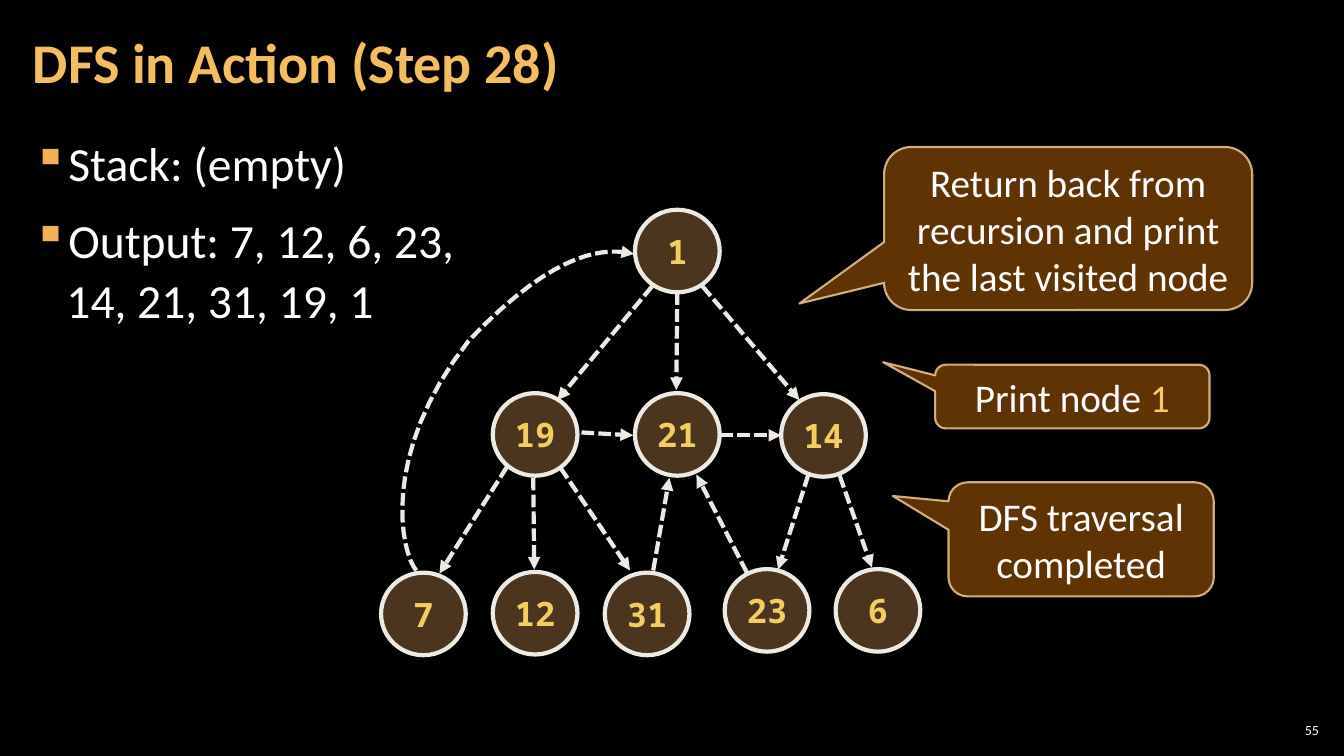
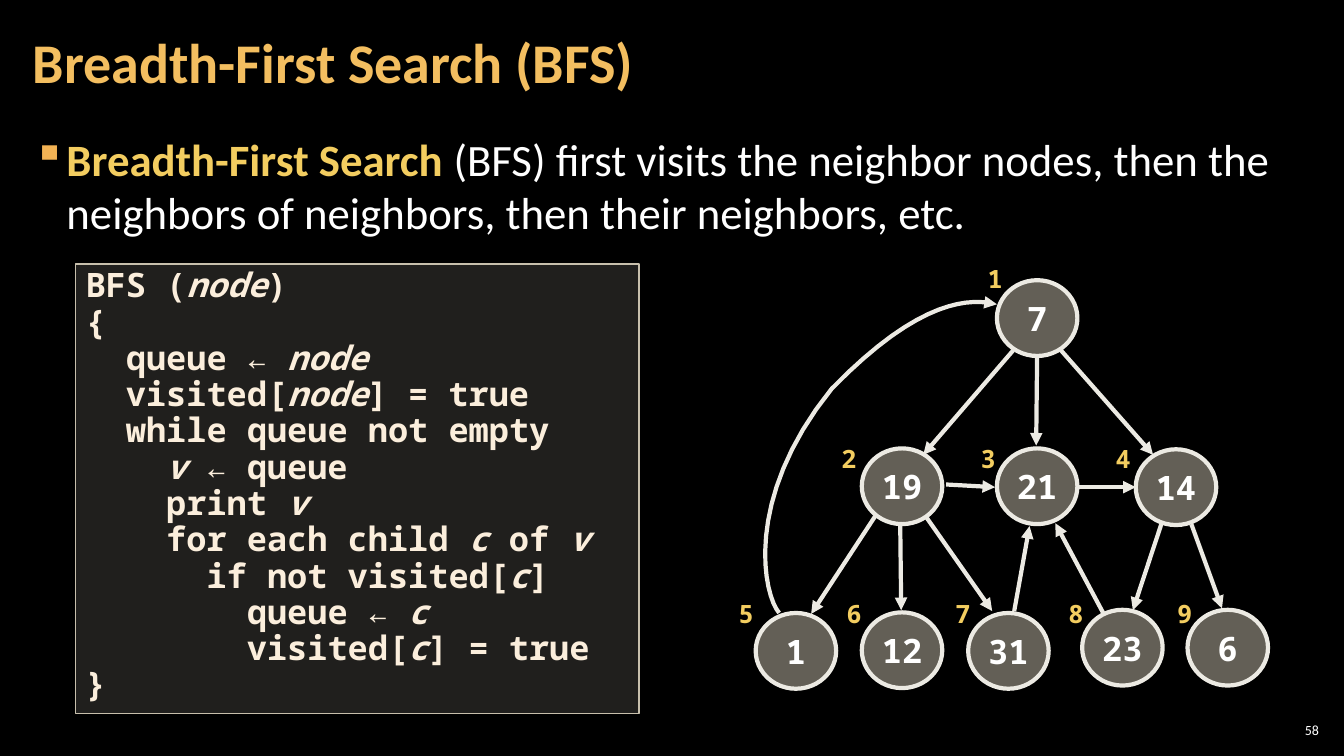
import lxml.etree
import pptx
import pptx.dml.color
import pptx.enum.dml
import pptx.enum.shapes
import pptx.enum.text
import pptx.oxml.ns
import pptx.util

Pt = pptx.util.Pt
RGBColor = pptx.dml.color.RGBColor
PP_ALIGN = pptx.enum.text.PP_ALIGN
MIDDLE = pptx.enum.text.MSO_ANCHOR.MIDDLE
SHAPE = pptx.enum.shapes.MSO_SHAPE
STRAIGHT = pptx.enum.shapes.MSO_CONNECTOR.STRAIGHT
qn = pptx.oxml.ns.qn

BLACK = RGBColor(0x00, 0x00, 0x00)
WHITE = RGBColor(0xFF, 0xFF, 0xFF)
TITLE_GOLD = RGBColor(0xF3, 0xBE, 0x60)
BULLET_GOLD = RGBColor(0xF2, 0xB2, 0x54)
ACCENT = RGBColor(0xF3, 0xCD, 0x60)
CALLOUT_BROWN = RGBColor(0x66, 0x36, 0x06)
CALLOUT_EDGE = RGBColor(0xF8, 0xD4, 0x9E)
NODE_BROWN = RGBColor(0x6C, 0x4C, 0x2C)
STONE = RGBColor(0xC7, 0xBF, 0xAC)
IVORY = RGBColor(0xEC, 0xEA, 0xE3)
CODE_FILL = RGBColor(0xD9, 0xD5, 0xC7)
CODE_TEXT = RGBColor(0xFB, 0xEE, 0xDC)
SANS = "Calibri"
MONO = "Noto Sans Mono"


def paint(shape, fill, fill_opacity, edge, width, edge_opacity=100):
    """Set fill and outline, with opacities in percent, and drop the shadow."""
    shape.shadow.inherit = False
    shape.fill.solid()
    shape.fill.fore_color.rgb = fill
    shape.line.color.rgb = edge
    shape.line.width = Pt(width)
    properties = shape._element.spPr
    for owner, opacity in ((properties, fill_opacity), (properties.ln, edge_opacity)):
        colour = owner.find(qn("a:solidFill"))[0]
        lxml.etree.SubElement(colour, qn("a:alpha"), val=str(opacity * 1000))


def write(paragraph, marked_text, font_name, size, colour, bold=False):
    """Add runs split at each bar; return those that stand between two bars."""
    marked_runs = []
    for index, part in enumerate(marked_text.split("|")):
        for line_index, line in enumerate(part.split("\n")):
            if line_index:
                paragraph.add_line_break()
            if not line:
                continue
            run = paragraph.add_run()
            run.text = line
            run.font.name = font_name
            run.font.size = Pt(size)
            run.font.color.rgb = colour
            run.font.bold = bold
            if index % 2:
                marked_runs.append(run)
    return marked_runs


presentation = pptx.Presentation()
presentation.slide_width = Pt(960)
presentation.slide_height = Pt(540)
background = presentation.slide_master.background.fill
background.solid()
background.fore_color.rgb = BLACK

# title, slide number, bullets, bullet size, line spacing
PAGES = [
    ("DFS in Action (Step 28)", "55",
     ["Stack: (empty)", "Output: 7, 12, 6, 23,\n14, 21, 31, 19, 1"], 34, 1.05),
    ("Breadth-First Search (BFS)", "58",
     ["|Breadth-First Search |(BFS) first visits the neighbor nodes, then the "
      "neighbors of neighbors, then their neighbors, etc."], 32, 1.0),
]

for title_text, number, bullets, bullet_size, spacing in PAGES:
    slide = presentation.slides.add_slide(presentation.slide_layouts[5])

    title = slide.shapes.title
    title.left, title.top, title.width, title.height = Pt(15), Pt(3), Pt(754), Pt(87)
    body = slide.shapes.add_textbox(Pt(15), Pt(91), Pt(930), Pt(438))
    for frame in (title.text_frame, body.text_frame):
        frame.word_wrap = True
        frame.auto_size = pptx.enum.text.MSO_AUTO_SIZE.NONE
        frame.margin_left = frame.margin_right = Pt(8.5)
        frame.margin_top = frame.margin_bottom = Pt(2.85)
    title.text_frame.vertical_anchor = MIDDLE
    paragraph = title.text_frame.paragraphs[0]
    paragraph.alignment = PP_ALIGN.LEFT
    paragraph.line_spacing = 0.9
    write(paragraph, title_text, SANS, 40, TITLE_GOLD, True)

    for index, bullet in enumerate(bullets):
        paragraph = body.text_frame.paragraphs[0]
        if index:
            paragraph = body.text_frame.add_paragraph()
        properties = paragraph._p.get_or_add_pPr()
        properties.set("marL", str(Pt(24)))
        properties.set("indent", str(Pt(-24)))
        bullet_colour = lxml.etree.SubElement(properties, qn("a:buClr"))
        lxml.etree.SubElement(bullet_colour, qn("a:srgbClr"), val=str(BULLET_GOLD))
        lxml.etree.SubElement(properties, qn("a:buChar"), char="▪")
        paragraph.line_spacing = spacing
        paragraph.space_before = Pt(6 if index else 0)
        paragraph.space_after = Pt(6)
        for run in write(paragraph, bullet, SANS, bullet_size, WHITE):
            run.font.bold = True
            run.font.color.rgb = ACCENT

    number_box = slide.shapes.add_textbox(Pt(911), Pt(514), Pt(34), Pt(15))
    frame = number_box.text_frame
    frame.margin_left = frame.margin_right = Pt(2.85)
    frame.margin_top = frame.margin_bottom = Pt(2.85)
    frame.vertical_anchor = MIDDLE
    frame.word_wrap = True
    frame.paragraphs[0].alignment = PP_ALIGN.RIGHT
    write(frame.paragraphs[0], number, SANS, 10, WHITE)

dfs_slide, bfs_slide = presentation.slides

# Graph geometry in points; the BFS slide scales and shifts it.
NODE_WIDTH, NODE_HEIGHT = 60.5, 59
NODE_PLACES = [
    (453.6, 149.8),
    (352, 280.8), (453.6, 280.8), (558, 281.5),
    (272.2, 409), (352, 408.5), (432, 409), (517.7, 406.5), (596.9, 406.5),
]
EDGES = [
    (465.8, 204.5, 398.2, 285.8), (483.8, 208.8, 483.1, 278.6),
    (501.8, 204.5, 571, 285.8), (415.4, 308.9, 452.2, 311),
    (514.8, 311, 558, 311), (362.2, 333.4, 313.9, 409.7),
    (380.9, 341.3, 381.6, 406.8), (400.3, 334.1, 450, 407.5),
    (577.4, 339.1, 555.8, 406.8), (599.8, 339.8, 622.8, 405.4),
    (466.6, 407.5, 478.1, 341.3), (533.5, 409, 497.5, 339.1),
]
CURVE_PARTS = [
    ((297.4, 407.5), (286.6, 395.3), (270.7, 324.7), (334.8, 243.4)),
    ((334.8, 243.4), (398.9, 175.7), (434.9, 177.1), (452.9, 181.4)),
]
CURVE_STEPS = 16

# slide, labels, fill, opacity, label colour, dashed,
# (x scale, x shift, y scale, y shift) of the graph and of its curve
GRAPHS = [
    (dfs_slide, [1, 19, 21, 14, 7, 12, 31, 23, 6], NODE_BROWN, 70, ACCENT, True,
     (1, 0, 1, 0), (1, 0, 1, 0)),
    (bfs_slide, [7, 19, 21, 14, 1, 12, 31, 23, 6], STONE, 50, WHITE, False,
     (0.95, 281.2, 0.917, 62.8), (1, 259.2, 0.975, 40.5)),
]

for slide, labels, fill, opacity, label_colour, dashed, placing, curve_placing in GRAPHS:
    graph = slide.shapes.add_group_shape()
    x_scale, x_shift, y_scale, y_shift = placing
    for label, (x, y) in zip(labels, NODE_PLACES):
        node = graph.shapes.add_shape(
            SHAPE.OVAL, Pt(x * x_scale + x_shift), Pt(y * y_scale + y_shift),
            Pt(NODE_WIDTH * x_scale), Pt(NODE_HEIGHT * y_scale))
        paint(node, fill, opacity, IVORY, 3)
        node.text_frame.word_wrap = False
        node.text_frame.vertical_anchor = MIDDLE
        paragraph = node.text_frame.paragraphs[0]
        paragraph.alignment = PP_ALIGN.CENTER
        write(paragraph, str(label), MONO, 24, label_colour, True)

    arrows = []
    for start_x, start_y, end_x, end_y in EDGES:
        arrows.append(graph.shapes.add_connector(
            STRAIGHT,
            Pt(start_x * x_scale + x_shift), Pt(start_y * y_scale + y_shift),
            Pt(end_x * x_scale + x_shift), Pt(end_y * y_scale + y_shift)))

    x_scale, x_shift, y_scale, y_shift = curve_placing
    curve_points = []
    for controls in CURVE_PARTS:
        for step in range(CURVE_STEPS + 1):
            t = step / CURVE_STEPS
            weights = ((1 - t) ** 3, 3 * t * (1 - t) ** 2, 3 * t ** 2 * (1 - t), t ** 3)
            x = sum(weight * point[0] for weight, point in zip(weights, controls))
            y = sum(weight * point[1] for weight, point in zip(weights, controls))
            curve_points.append((Pt(x * x_scale + x_shift), Pt(y * y_scale + y_shift)))
    builder = graph.shapes.build_freeform(*curve_points[0])
    builder.add_line_segments(curve_points[1:], close=False)
    curve = builder.convert_to_shape()
    curve.fill.background()
    arrows.append(curve)

    for arrow in arrows:
        arrow.line.color.rgb = IVORY
        arrow.line.width = Pt(3)
        if dashed:
            arrow.line.dash_style = pptx.enum.dml.MSO_LINE.SQUARE_DOT
        properties = arrow._element.spPr
        lxml.etree.SubElement(properties.ln, qn("a:tailEnd"), type="triangle")
        lxml.etree.SubElement(properties, qn("a:effectLst"))

CALLOUTS = [
    ("Return back from recursion and print the last visited node",
     631.5, 105, 263, 116.5, (-0.73, 0.46)),
    ("Print node |1|", 668, 260.5, 196, 45.5, (-0.69, -0.54)),
    ("DFS traversal completed", 677.5, 344.5, 189.5, 81.5, (-0.71, -0.38)),
]
for text, left, top, width, height, tip in CALLOUTS:
    callout = dfs_slide.shapes.add_shape(
        SHAPE.ROUNDED_RECTANGULAR_CALLOUT, Pt(left), Pt(top), Pt(width), Pt(height))
    callout.adjustments[0], callout.adjustments[1] = tip
    paint(callout, CALLOUT_BROWN, 95, CALLOUT_EDGE, 1.5, 80)
    callout.text_frame.word_wrap = True
    callout.text_frame.vertical_anchor = MIDDLE
    paragraph = callout.text_frame.paragraphs[0]
    paragraph.alignment = PP_ALIGN.CENTER
    for run in write(paragraph, text, SANS, 28, WHITE):
        run.font.color.rgb = ACCENT

VISIT_ORDER_PLACES = [
    (698.4, 184.3),
    (594, 313), (693.4, 313), (789.8, 313),
    (520.6, 424), (597.6, 424), (675.4, 424), (756, 424), (833.8, 424),
]
for order, (left, top) in enumerate(VISIT_ORDER_PLACES, start=1):
    order_box = bfs_slide.shapes.add_textbox(Pt(left), Pt(top), Pt(24.5), Pt(30))
    order_box.text_frame.word_wrap = False
    write(order_box.text_frame.paragraphs[0], str(order), MONO, 18, ACCENT, True)

# Variables between bars are set in italics.
CODE_LINES = [
    "BFS (|node|)",
    "{",
    "  queue ← |node|",
    "  visited[|node|] = true",
    "  while queue not empty",
    "    |v |← queue",
    "    print |v|",
    "    for each child |c| of |v|",
    "      if not visited[|c|]",
    "        queue ← |c|",
    "        visited[|c|] = true",
    "}",
]
code_box = bfs_slide.shapes.add_shape(SHAPE.RECTANGLE, Pt(54), Pt(188.5), Pt(402.5), Pt(321))
paint(code_box, CODE_FILL, 15, STONE, 1)
code_box.text_frame.word_wrap = True
code_box.text_frame.vertical_anchor = pptx.enum.text.MSO_ANCHOR.TOP
for index, code_line in enumerate(CODE_LINES):
    paragraph = code_box.text_frame.paragraphs[0]
    if index:
        paragraph = code_box.text_frame.add_paragraph()
    paragraph.alignment = PP_ALIGN.LEFT
    paragraph.line_spacing = 0.9
    for run in write(paragraph, code_line, MONO, 24, CODE_TEXT, True):
        run.font.italic = True

presentation.save("out.pptx")
